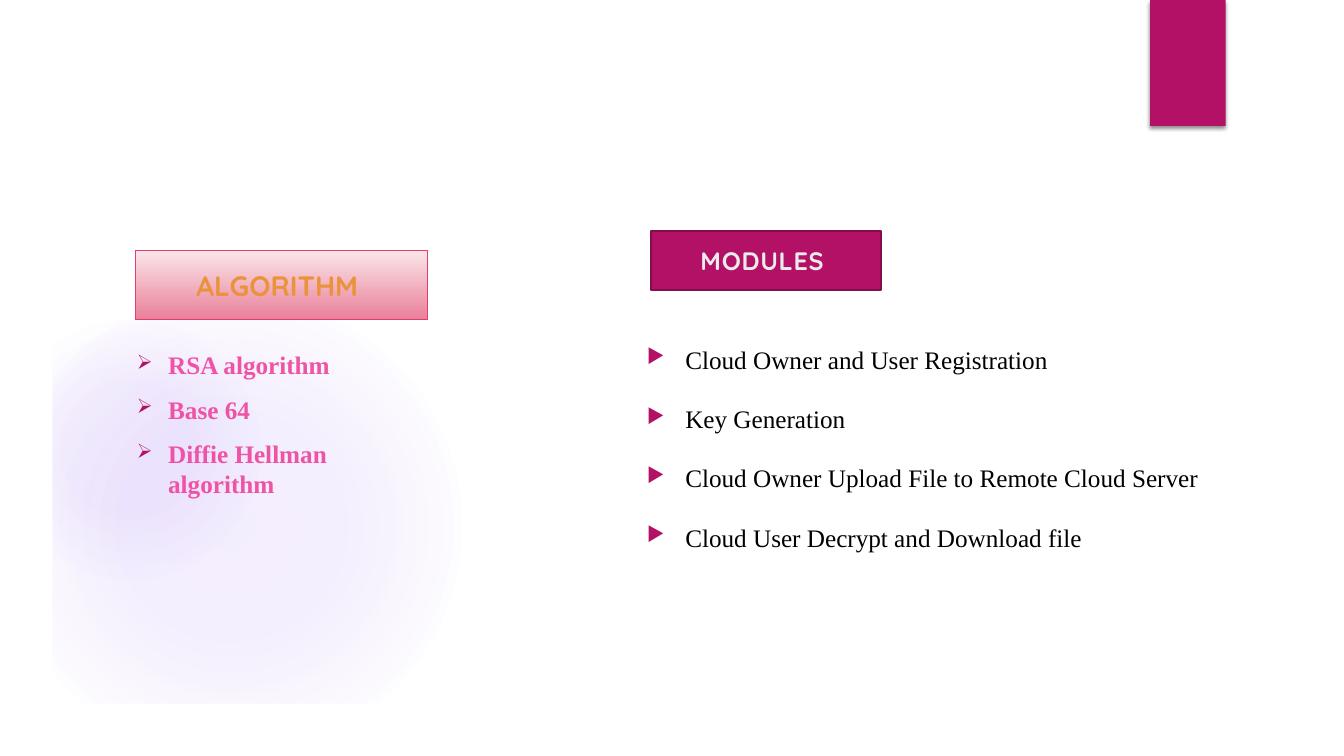
"""Builds the slide that lists the algorithms and modules of a cloud project."""
from dataclasses import dataclass

from lxml import etree
from pptx import Presentation
from pptx.dml.color import RGBColor
from pptx.enum.shapes import MSO_SHAPE
from pptx.enum.text import MSO_ANCHOR, PP_ALIGN
from pptx.oxml import parse_xml
from pptx.oxml.ns import nsdecls, qn
from pptx.shapes.autoshape import Shape
from pptx.slide import Slide
from pptx.util import Emu, Inches, Pt

RECTANGLE, OVAL = MSO_SHAPE.RECTANGLE, MSO_SHAPE.OVAL
TOP, MIDDLE = MSO_ANCHOR.TOP, MSO_ANCHOR.MIDDLE
LEFT, CENTER = PP_ALIGN.LEFT, PP_ALIGN.CENTER
SLIDE_WIDTH, SLIDE_HEIGHT = Inches(13.333), Inches(7.5)
MAGENTA, VIOLET, WHITE = "B31166", "9B6BF2", "FFFFFF"
MARGIN_X, MARGIN_Y = 3.9, 6.93


@dataclass(frozen=True)
class Area:
    """Position and size in percent of the slide's width and height."""
    left: float
    top: float
    width: float
    height: float


@dataclass(frozen=True)
class Glow:
    """Round glow with (position, opacity) stops in percent."""
    area: Area
    stops: tuple[tuple[int, int], ...]


@dataclass(frozen=True)
class Label:
    """Heading box; two fill colours make a vertical gradient."""
    text: str
    area: Area
    fills: tuple[str, ...]
    line: str
    line_width: float
    size: int
    color: str
    spacing: int


@dataclass(frozen=True)
class BulletList:
    """Bulleted text with its bullet sign and text style."""
    items: tuple[str, ...]
    area: Area
    bullet: str
    indent: float
    line_spacing: float
    anchor: MSO_ANCHOR
    color: str
    bold: bool


GLOWS = (
    Glow(Area(0, 38.93, 34.35, 61.07), ((0, 11), (36, 10), (75, 0))),
    Glow(Area(0, 42.27, 19.35, 34.4), ((0, 8), (36, 8), (72, 0))),
)
LISTS = (
    BulletList(("Cloud Owner and User Registration", "Key Generation",
                "Cloud Owner Upload File to Remote Cloud Server",
                "Cloud User Decrypt and Download file"),
               Area(47.4, 24.93, 42.6, 66.67), "▶", 0.38, 1.5, MIDDLE, "000000", False),
    BulletList(("RSA algorithm", "Base 64", "Diffie Hellman algorithm"),
               Area(9.45, 45.6, 22.88, 42.27), "➢", 0.31, 1, TOP, "EF53A5", True),
)
LABELS = (
    Label("ALGORITHM ", Area(10.05, 33.2, 21.75, 9.07), ("FAE5E9", "EA8099"),
          "E33D6F", 0.75, 20, "E9943A", 0),
    Label("MODULES ", Area(48.45, 30.53, 17.1, 7.87), (MAGENTA,),
          "840D4B", 1.5, 18, "EBEBEB", 50),
)


def rgb(color: str) -> RGBColor:
    """Turn a hex string into a colour."""
    return RGBColor.from_string(color)


def across(share: float) -> Emu:
    """Length for a share of the slide's width."""
    return Emu(round(SLIDE_WIDTH * share / 100))


def down(share: float) -> Emu:
    """Length for a share of the slide's height."""
    return Emu(round(SLIDE_HEIGHT * share / 100))


def bounds(area: Area) -> tuple[Emu, Emu, Emu, Emu]:
    """Lengths of an area in the order that shapes take them."""
    return across(area.left), down(area.top), across(area.width), down(area.height)


def add_plain(page: Slide, kind: MSO_SHAPE, area: Area, color: str) -> Shape:
    """Add a solid shape without line or shadow."""
    shape = page.shapes.add_shape(kind, *bounds(area))
    paint_plain(shape, color)
    return shape


def paint_plain(shape: Shape, color: str) -> None:
    """Give a shape a solid fill and no line or shadow."""
    shape.shadow.inherit = False
    shape.fill.solid()
    shape.fill.fore_color.rgb = rgb(color)
    shape.line.fill.background()


def style_text(para, size: int, font: str, color: str, bold: bool) -> None:
    """Format all runs of a paragraph."""
    for span in para.runs:
        span.font.size = Pt(size)
        span.font.name = font
        span.font.bold = bold
        span.font.color.rgb = rgb(color)


def add_glow(page: Slide, glow: Glow) -> None:
    """Add an ellipse that fades out from its centre."""
    shape = add_plain(page, OVAL, glow.area, VIOLET)
    stops = "".join(
        f'<a:gs pos="{position * 1000}"><a:srgbClr val="{VIOLET}">'
        f'<a:alpha val="{opacity * 1000}"/></a:srgbClr></a:gs>'
        for position, opacity in glow.stops)
    gradient = parse_xml(
        f'<a:gradFill {nsdecls("a")} rotWithShape="1"><a:gsLst>{stops}</a:gsLst>'
        '<a:path path="circle"><a:fillToRect l="50000" t="50000" r="50000" b="50000"/>'
        '</a:path></a:gradFill>')
    properties = shape.element.spPr
    properties.replace(properties.find(qn("a:solidFill")), gradient)


def add_border(page: Slide) -> None:
    """Add the white border that trims the glows."""
    right, bottom = SLIDE_WIDTH, SLIDE_HEIGHT
    inset_x, inset_y = across(MARGIN_X), down(MARGIN_Y)
    builder = page.shapes.build_freeform(0, 0)
    builder.add_line_segments([(0, bottom), (right, bottom), (right, 0)])
    builder.move_to(right - inset_x, bottom - inset_y)
    builder.add_line_segments([(inset_x, bottom - inset_y), (inset_x, inset_y),
                               (right - inset_x, inset_y)])
    paint_plain(builder.convert_to_shape(), WHITE)


def add_tab(page: Slide) -> None:
    """Add the magenta tab with its soft shadow."""
    tab = add_plain(page, RECTANGLE, Area(85.57, 0, 5.63, 16.67), MAGENTA)
    tab.element.spPr.find(qn("a:effectLst")).append(parse_xml(
        f'<a:outerShdw {nsdecls("a")} blurRad="38100" dist="25400" dir="5400000" '
        'rotWithShape="0"><a:srgbClr val="000000"><a:alpha val="45000"/>'
        '</a:srgbClr></a:outerShdw>'))


def add_list(page: Slide, entry: BulletList) -> None:
    """Add a text box with bulleted paragraphs."""
    frame = page.shapes.add_textbox(*bounds(entry.area)).text_frame
    frame.word_wrap = True
    frame.vertical_anchor = entry.anchor
    frame.text = "\n".join(entry.items)
    for para in frame.paragraphs:
        para.alignment = LEFT
        para.line_spacing = entry.line_spacing
        para.space_before = Pt(10)
        style_text(para, 18, "Times New Roman", entry.color, entry.bold)
        properties = para._p.get_or_add_pPr()
        properties.set("marL", str(Inches(entry.indent)))
        properties.set("indent", str(-Inches(entry.indent)))
        color = etree.SubElement(properties, qn("a:buClr"))
        etree.SubElement(color, qn("a:srgbClr"), val=MAGENTA)
        etree.SubElement(properties, qn("a:buSzPct"), val="80000")
        etree.SubElement(properties, qn("a:buChar"), char=entry.bullet)


def add_label(page: Slide, label: Label) -> None:
    """Add a heading box."""
    box = add_plain(page, RECTANGLE, label.area, label.fills[0])
    if len(label.fills) > 1:
        box.fill.gradient()
        box.fill.gradient_angle = 270
        for stop, color, position in zip(box.fill.gradient_stops, label.fills, (0, 1)):
            stop.color.rgb = rgb(color)
            stop.position = position
    box.line.color.rgb = rgb(label.line)
    box.line.width = Pt(label.line_width)
    frame = box.text_frame
    frame.text = label.text
    frame.vertical_anchor = MIDDLE
    para = frame.paragraphs[0]
    para.alignment = CENTER
    style_text(para, label.size, "Quicksand", label.color, True)
    para.runs[0].font._element.set("spc", str(label.spacing))


def main() -> None:
    """Build and save the deck."""
    deck = Presentation()
    deck.slide_width, deck.slide_height = SLIDE_WIDTH, SLIDE_HEIGHT
    page = deck.slides.add_slide(deck.slide_layouts[6])
    for glow in GLOWS:
        add_glow(page, glow)
    add_border(page)
    add_tab(page)
    for entry in LISTS:
        add_list(page, entry)
    for label in LABELS:
        add_label(page, label)
    deck.save("out.pptx")


if __name__ == "__main__":
    main()
